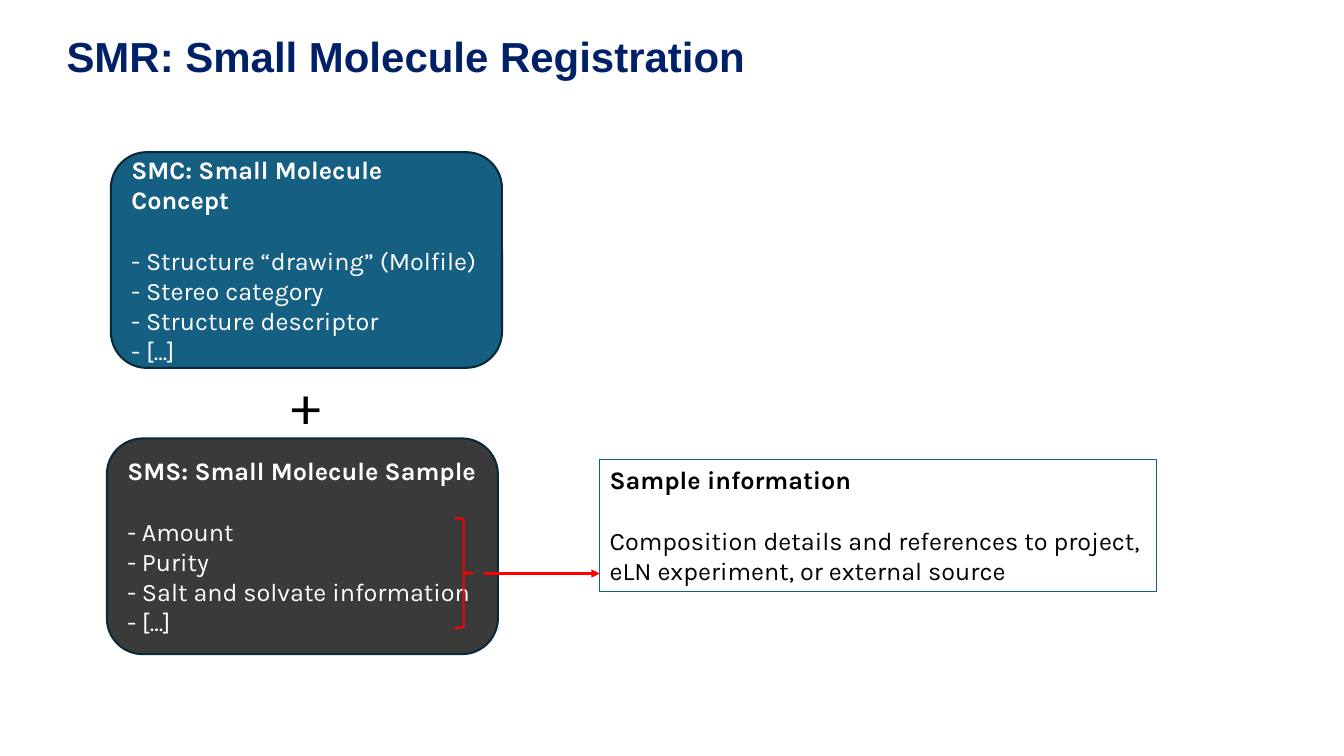
from dataclasses import dataclass

import pptx
import pptx.dml.color
import pptx.enum.shapes
import pptx.enum.text
import pptx.oxml
import pptx.oxml.ns
import pptx.util

Pt = pptx.util.Pt
RGBColor = pptx.dml.color.RGBColor
Kind = pptx.enum.shapes.MSO_SHAPE
Anchor = pptx.enum.text.MSO_ANCHOR
Align = pptx.enum.text.PP_ALIGN
AutoSize = pptx.enum.text.MSO_AUTO_SIZE

NAVY = RGBColor(0x00, 0x20, 0x68)
TEAL = RGBColor(0x15, 0x60, 0x82)
CHARCOAL = RGBColor(0x3A, 0x3A, 0x3A)
OUTLINE = RGBColor(0x09, 0x2A, 0x39)
RED = RGBColor(0xFF, 0x00, 0x00)
WHITE = RGBColor(0xFF, 0xFF, 0xFF)
BLACK = RGBColor(0x00, 0x00, 0x00)

BODY_FONT = "Karla"
BODY_SIZE = 18
LINE_HEIGHT = 21.6


@dataclass
class Card:
    """A box with a bold heading and lines one line-height below it."""
    kind: int
    left: float
    top: float
    width: float
    height: float
    heading: str
    lines: list[str]
    fill: RGBColor | None
    outline: RGBColor
    outline_width: float
    text_color: RGBColor
    anchor: int


CARDS = [
    Card(Kind.ROUNDED_RECTANGLE, 79.2, 108.72, 279.36, 154.08,
         "SMC: Small Molecule Concept",
         ["- Structure “drawing” (Molfile)", "- Stereo category",
          "- Structure descriptor", "- [...]"],
         TEAL, OUTLINE, 1.5, WHITE, Anchor.MIDDLE),
    Card(Kind.ROUNDED_RECTANGLE, 76.32, 313.2, 279.36, 154.08,
         "SMS: Small Molecule Sample",
         ["- Amount", "- Purity", "- Salt and solvate information", "- [...]"],
         CHARCOAL, OUTLINE, 1.5, WHITE, Anchor.MIDDLE),
    Card(Kind.RECTANGLE, 428.4, 328.32, 397.44, 94.32,
         "Sample information",
         ["Composition details and references to project, "
          "eLN experiment, or external source"],
         None, TEAL, 0.75, BLACK, Anchor.TOP),
]


def apply_format(target: object, values: dict) -> None:
    for name, value in values.items():
        setattr(target, name, value)


def format_font(font: object, name: str, size: float, color: RGBColor,
                bold: bool) -> None:
    apply_format(font, {"name": name, "size": Pt(size), "bold": bold})
    font.color.rgb = color


def add_outlined_shape(page: object, kind: int, position: tuple,
                       color: RGBColor, width: float,
                       fill: RGBColor | None = None) -> object:
    shape = page.shapes.add_shape(kind, *map(Pt, position))
    shape.shadow.inherit = False
    if fill is None:
        shape.fill.background()
    else:
        shape.fill.solid()
        shape.fill.fore_color.rgb = fill
    shape.line.color.rgb = color
    shape.line.width = Pt(width)
    return shape


def add_card(page: object, card: Card) -> None:
    box = add_outlined_shape(
        page, card.kind, (card.left, card.top, card.width, card.height),
        card.outline, card.outline_width, card.fill)
    frame = box.text_frame
    apply_format(frame, {"word_wrap": True, "vertical_anchor": card.anchor})
    for index, text in enumerate([card.heading, *card.lines]):
        para = frame.paragraphs[0] if index == 0 else frame.add_paragraph()
        para.alignment = Align.LEFT
        if index == 1:
            para.space_before = Pt(LINE_HEIGHT)
        span = para.add_run()
        span.text = text
        format_font(span.font, BODY_FONT, BODY_SIZE, card.text_color,
                    index == 0)


def add_title(page: object) -> None:
    title = page.shapes.title
    apply_format(title, {"left": Pt(47.52), "top": Pt(24.48),
                         "width": Pt(579.6), "height": Pt(84.24)})
    frame = title.text_frame
    apply_format(frame, {"margin_left": 0, "margin_top": 0,
                         "margin_right": 0, "margin_bottom": 0,
                         "word_wrap": True, "vertical_anchor": Anchor.TOP,
                         "auto_size": AutoSize.NONE})
    para = frame.paragraphs[0]
    apply_format(para, {"alignment": Align.LEFT, "line_spacing": 0.95})
    span = para.add_run()
    span.text = "SMR: Small Molecule Registration"
    format_font(span.font, "Arial", 30, NAVY, True)


def add_plus(page: object) -> None:
    box = page.shapes.add_textbox(Pt(200.88), Pt(259.92), Pt(36), Pt(55.44))
    apply_format(box.text_frame, {"word_wrap": False,
                                  "auto_size": AutoSize.SHAPE_TO_FIT_TEXT})
    span = box.text_frame.paragraphs[0].add_run()
    span.text = "+"
    format_font(span.font, BODY_FONT, 40, BLACK, False)


def add_arrow(page: object, start: float, end: float, level: float) -> None:
    arrow = page.shapes.add_connector(
        pptx.enum.shapes.MSO_CONNECTOR.STRAIGHT,
        Pt(start), Pt(level), Pt(end), Pt(level))
    arrow.line.color.rgb = RED
    arrow.line.width = Pt(1.5)
    properties = arrow.element.spPr
    qn = pptx.oxml.ns.qn
    head = properties.find(qn("a:ln")).makeelement(
        qn("a:tailEnd"), {"type": "triangle"})
    properties.find(qn("a:ln")).append(head)
    properties.append(properties.makeelement(qn("a:effectLst"), {}))


def main() -> None:
    deck = pptx.Presentation()
    deck.slide_width, deck.slide_height = Pt(960), Pt(540)
    page = deck.slides.add_slide(deck.slide_layouts[5])

    # Title
    add_title(page)

    # Concept, sample and sample information
    for card in CARDS:
        add_card(page, card)
    add_plus(page)

    # Brace over the sample list, pointing at its details
    add_outlined_shape(page, Kind.RIGHT_BRACE,
                       (324.72, 370.08, 12.96, 78.48), RED, 1.5)
    add_arrow(page, 345.6, 428.4, 409.68)

    deck.save("out.pptx")


if __name__ == "__main__":
    main()
